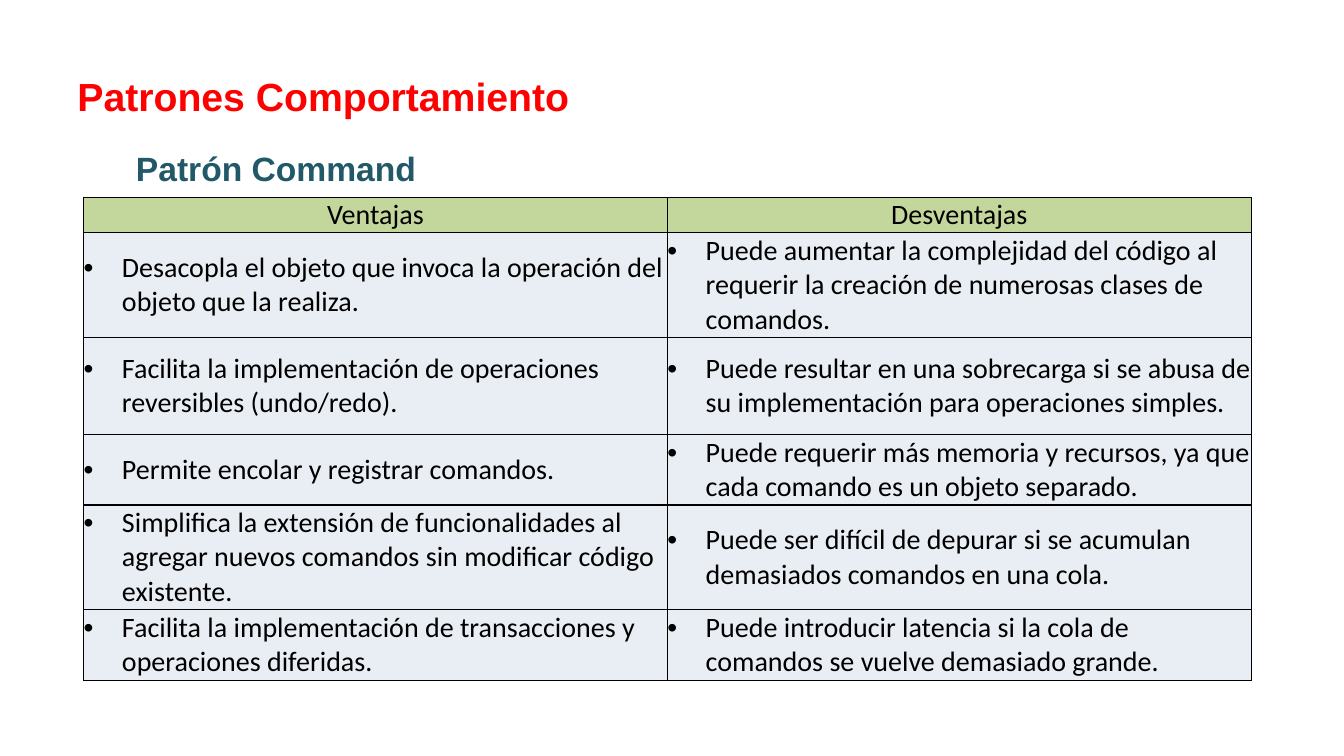
import pptx
import pptx.util
import pptx.dml.color
import pptx.enum.text
import pptx.oxml
import pptx.oxml.ns
import lxml.etree

Inches = pptx.util.Inches
qn = pptx.oxml.ns.qn

COLORS = {
    "title": "FF0000",
    "subtitle": "215968",
    "text": "000000",
    "border": "000000",
    "header": "C3D69B",
    "body": "E9EDF4",
}

HEADINGS = ("Ventajas", "Desventajas")
COMPARISON = [
    ("Desacopla el objeto que invoca la operación del objeto que la realiza.",
     "Puede aumentar la complejidad del código al requerir la creación de numerosas clases de comandos."),
    ("Facilita la implementación de operaciones reversibles (undo/redo).",
     "Puede resultar en una sobrecarga si se abusa de su implementación para operaciones simples."),
    ("Permite encolar y registrar comandos.",
     "Puede requerir más memoria y recursos, ya que cada comando es un objeto separado."),
    ("Simplifica la extensión de funcionalidades al agregar nuevos comandos sin modificar código existente.",
     "Puede ser difícil de depurar si se acumulan demasiados comandos en una cola."),
    ("Facilita la implementación de transacciones y operaciones diferidas.",
     "Puede introducir latencia si la cola de comandos se vuelve demasiado grande."),
]
ROW_HEIGHTS = (0.35, 1.04, 0.96, 0.7, 1.04, 0.7)


class SlideBuilder:
    heading_font = "Arial"
    table_font = "Calibri"
    table_size = 20
    bullet_indent = 0.38

    def __init__(self, slide):
        self.slide = slide

    def color(self, name):
        return pptx.dml.color.RGBColor.from_string(COLORS[name])

    def format_runs(self, paragraph, font, size, color, bold=False):
        for run in paragraph.runs:
            run.font.name = font
            run.font.size = pptx.util.Pt(size)
            run.font.bold = bold
            run.font.color.rgb = self.color(color)

    def heading(self, text, left, top, width, height, size, color):
        box = self.slide.shapes.add_textbox(
            Inches(left), Inches(top), Inches(width), Inches(height))
        frame = box.text_frame
        frame.word_wrap = True
        frame.auto_size = pptx.enum.text.MSO_AUTO_SIZE.SHAPE_TO_FIT_TEXT
        frame.text = text
        self.format_runs(frame.paragraphs[0], self.heading_font, size, color, bold=True)

    def borders(self, cell):
        properties = cell._tc.get_or_add_tcPr()
        for position, side in enumerate(("lnL", "lnR", "lnT", "lnB")):
            line = lxml.etree.Element(qn(f"a:{side}"), w=str(pptx.util.Pt(1)))
            fill = lxml.etree.SubElement(line, qn("a:solidFill"))
            lxml.etree.SubElement(fill, qn("a:srgbClr"), val=COLORS["border"])
            properties.insert(position, line)

    def bullet(self, paragraph):
        properties = paragraph._p.get_or_add_pPr()
        indent = Inches(self.bullet_indent)
        properties.set("marL", str(indent))
        properties.set("indent", str(-indent))
        lxml.etree.SubElement(properties, qn("a:buFont"), typeface="Arial")
        lxml.etree.SubElement(properties, qn("a:buChar"), char="•")

    def cell(self, cell, text, is_header):
        cell.margin_left = cell.margin_right = cell.margin_top = cell.margin_bottom = 0
        cell.vertical_anchor = pptx.enum.text.MSO_ANCHOR.MIDDLE
        cell.fill.solid()
        cell.fill.fore_color.rgb = self.color("header" if is_header else "body")
        self.borders(cell)
        cell.text_frame.text = text
        paragraph = cell.text_frame.paragraphs[0]
        if is_header:
            paragraph.alignment = pptx.enum.text.PP_ALIGN.CENTER
        else:
            self.bullet(paragraph)
        self.format_runs(paragraph, self.table_font, self.table_size, "text")

    def table(self, rows, left, top, column_width, row_heights):
        columns = len(rows[0])
        table = self.slide.shapes.add_table(
            len(rows), columns, Inches(left), Inches(top),
            Inches(column_width * columns), Inches(sum(row_heights))).table
        for column in table.columns:
            column.width = Inches(column_width)
        for row_index, texts in enumerate(rows):
            table.rows[row_index].height = Inches(row_heights[row_index])
            for column_index, text in enumerate(texts):
                self.cell(table.cell(row_index, column_index), text, row_index == 0)


def main():
    presentation = pptx.Presentation()
    presentation.slide_width = Inches(13.33)
    presentation.slide_height = Inches(7.5)
    builder = SlideBuilder(presentation.slides.add_slide(presentation.slide_layouts[6]))
    builder.heading("Patrones Comportamiento", 0.67, 0.67, 6.66, 0.57, 28, "title")
    builder.table([HEADINGS] + COMPARISON, 0.83, 1.96, 5.79, ROW_HEIGHTS)
    builder.heading("Patrón Command", 1.25, 1.42, 8.08, 0.5, 24, "subtitle")
    presentation.save("out.pptx")


if __name__ == "__main__":
    main()
